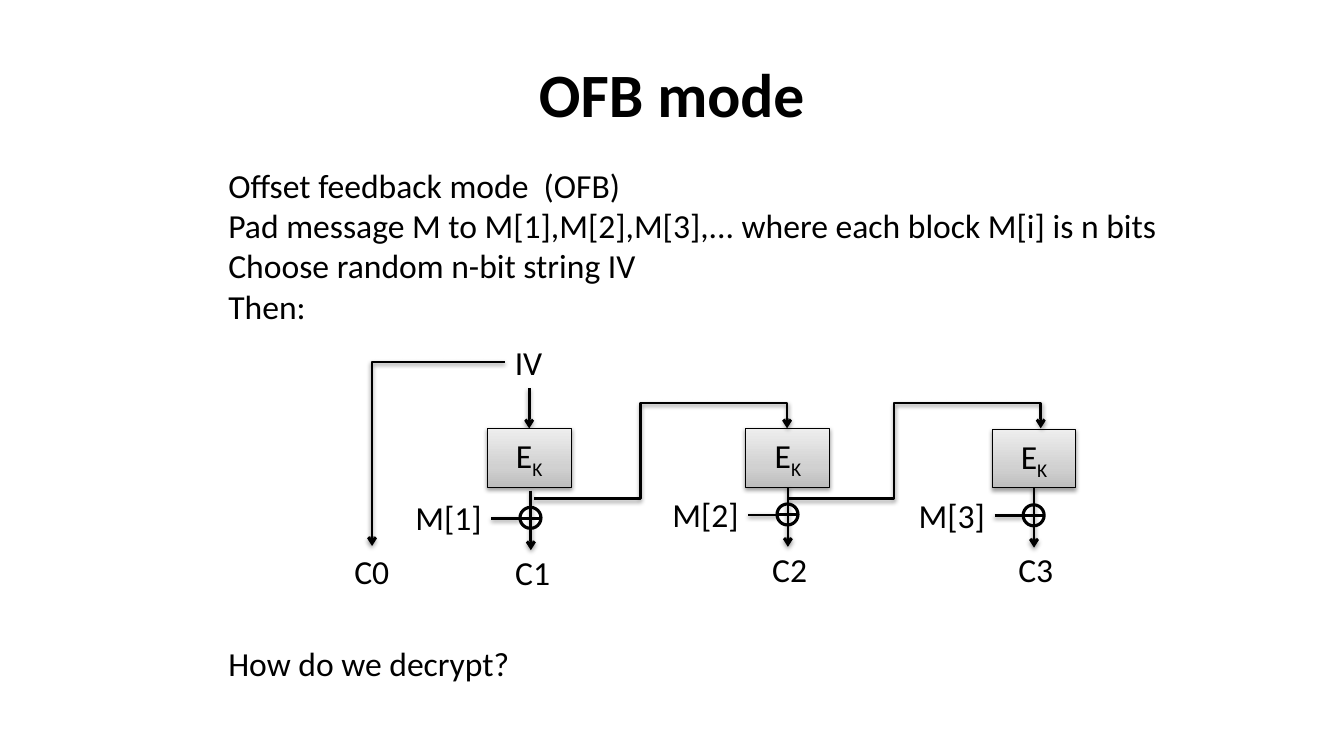
from dataclasses import dataclass
from lxml import etree
from pptx import Presentation
from pptx import util as u
from pptx.dml.color import RGBColor
from pptx.enum import shapes, text
from pptx.oxml.ns import qn


@dataclass(frozen=True)
class Theme:
    font: str = "Calibri"
    ink: str = "000000"
    gradient: tuple = ((0, "BDBDBD"), (35, "D1D1D1"), (100, "EEEEEE"))
    title: int = 44
    body: int = 24
    border: float = 0.75
    wire: float = 2
    symbol: float = 2.25


def add(parent, tag, **attrs):
    return etree.SubElement(parent, qn(tag), {k: str(v) for k, v in attrs.items()})


def apply(target, values):
    for name, value in values.items():
        setattr(target, name, value)


class Diagram:
    COLS, ROWS = 160, 90

    def __init__(self, prs, theme):
        self.theme = theme
        self.ink = RGBColor.from_string(theme.ink)
        self.col = prs.slide_width / self.COLS
        self.row = prs.slide_height / self.ROWS
        self.s = prs.slides.add_slide(prs.slide_layouts[6])

    def grid(self, *lengths):
        return [u.Emu(round(n * (self.row if i % 2 else self.col)))
                for i, n in enumerate(lengths)]

    def letters(self, p, words, size, **extra):
        r = p.add_run()
        r.text = words
        apply(r.font, {"name": self.theme.font, "size": u.Pt(size), **extra})
        r.font.color.rgb = self.ink
        return r

    def text(self, at, lines, size=None, align="LEFT", wrap=False,
             anchor="TOP", **extra):
        tf = self.s.shapes.add_textbox(*self.grid(*at)).text_frame
        fit = "NONE" if wrap else "SHAPE_TO_FIT_TEXT"
        apply(tf, {"word_wrap": wrap, "auto_size": text.MSO_AUTO_SIZE[fit],
                   "vertical_anchor": text.MSO_ANCHOR[anchor]})
        for i, words in enumerate(lines):
            p = tf.add_paragraph() if i else tf.paragraphs[0]
            p.alignment = text.PP_ALIGN[align]
            self.letters(p, words, size or self.theme.body, **extra)

    def stroke(self, sp, width):
        sp.line.color.rgb = self.ink
        sp.line.width = u.Pt(width)

    def effects(self, sp, shadow):
        spPr = sp._element.spPr
        for old in spPr.findall(qn("a:effectLst")):
            spPr.remove(old)
        effects = add(spPr, "a:effectLst")
        if shadow:
            cast = add(effects, "a:outerShdw", blurRad=40000, dist=20000,
                       dir=5400000, rotWithShape=0)
            add(add(cast, "a:srgbClr", val=self.theme.ink), "a:alpha", val=38000)

    def cipher(self, x, y):
        sp = self.s.shapes.add_shape(shapes.MSO_SHAPE.RECTANGLE,
                                     *self.grid(x, y, 10, 7))
        sp.shadow.inherit = False
        grad = etree.Element(qn("a:gradFill"), rotWithShape="1")
        stops = add(grad, "a:gsLst")
        for pos, color in self.theme.gradient:
            add(add(stops, "a:gs", pos=pos * 1000), "a:srgbClr", val=color)
        add(grad, "a:lin", ang=270 * 60000, scaled=0)
        sp._element.spPr.find(qn("a:prstGeom")).addnext(grad)
        self.stroke(sp, self.theme.border)
        self.effects(sp, True)
        tf = sp.text_frame
        tf.vertical_anchor = text.MSO_ANCHOR.MIDDLE
        p = tf.paragraphs[0]
        p.alignment = text.PP_ALIGN.CENTER
        self.letters(p, "E", self.theme.body)
        k = self.letters(p, "K", self.theme.body)
        k._r.get_or_add_rPr().set("baseline", "-25000")

    def circle(self, x, y, size):
        sp = self.s.shapes.add_shape(shapes.MSO_SHAPE.OVAL,
                                     *self.grid(x, y, size, size))
        sp.shadow.inherit = False
        sp.fill.background()
        self.stroke(sp, self.theme.symbol)

    def wire(self, start, end, arrow=False, width=None, shadow=True,
             bend=None, adjust=()):
        kind = shapes.MSO_CONNECTOR["ELBOW" if bend else "STRAIGHT"]
        sp = self.s.shapes.add_connector(kind, *self.grid(*start, *end))
        self.stroke(sp, width or self.theme.wire)
        spPr = sp._element.spPr
        if arrow:
            add(spPr.find(qn("a:ln")), "a:tailEnd", type="arrow")
        if bend:
            geom = spPr.find(qn("a:prstGeom"))
            geom.set("prst", bend)
            guides = geom.find(qn("a:avLst"))
            if guides is None:
                guides = add(geom, "a:avLst")
            for i, share in enumerate(adjust, 1):
                add(guides, "a:gd", name=f"adj{i}",
                    fmla=f"val {round(share * 100000)}")
        self.effects(sp, shadow)

    def stage(self, i, box, out):
        x, y = out
        bar = y + 3.3
        self.cipher(*box)
        self.text((x - 15, y + 0.2, 10.4, 6), [f"M[{i}]"], align="CENTER")
        self.text((x - 3.1, y + 6.7, 6.6, 6), [f"C{i}"], align="CENTER")
        self.wire((x, y), (x, y + 7.1), arrow=True)
        self.circle(x - 1.3, y + 2, 2.5)
        self.wire((x - 1.3, bar), (x + 1.2, bar),
                  width=self.theme.symbol, shadow=False)
        self.wire((x - 4.7, bar), (x - 1.3, bar))


def main():
    prs = Presentation()
    apply(prs, {"slide_width": u.Inches(13.33), "slide_height": u.Inches(7.5)})
    theme = Theme()
    d = Diagram(prs, theme)
    d.text((8, 3.6, 144, 15), ["OFB mode"], size=theme.title, align="CENTER",
           wrap=True, anchor="MIDDLE", bold=True)
    d.text((26, 19, 113.9, 20.6), [
        "Offset feedback mode  (OFB)",
        "Pad message M to M[1],M[2],M[3],... where each block M[i] is n bits",
        "Choose random n-bit string IV",
        "Then:",
    ])
    d.text((60.1, 40.1, 5.8, 6), ["IV"])
    d.text((41, 65, 6.6, 6), ["C0"])
    d.wire((63, 46.2), (63, 51), arrow=True)
    d.wire((60.1, 43.1), (44.3, 65), arrow=True, bend="bentConnector2")
    stages = [((58, 51), (63.2, 58.4)),
              ((88.8, 51), (93.8, 58)),
              ((118.1, 51.1), (123.1, 58.1))]
    for i, (box, out) in enumerate(stages, 1):
        d.stage(i, box, out)
    for x in (63.6, 93.8):
        d.wire((x, 59.4), (x + 30.1, 51), arrow=True,
               bend="bentConnector4", adjust=(0.42, 1.36))
    d.text((26, 76, 36.2, 6), ["How do we decrypt?"])
    prs.save("out.pptx")


if __name__ == "__main__":
    main()
